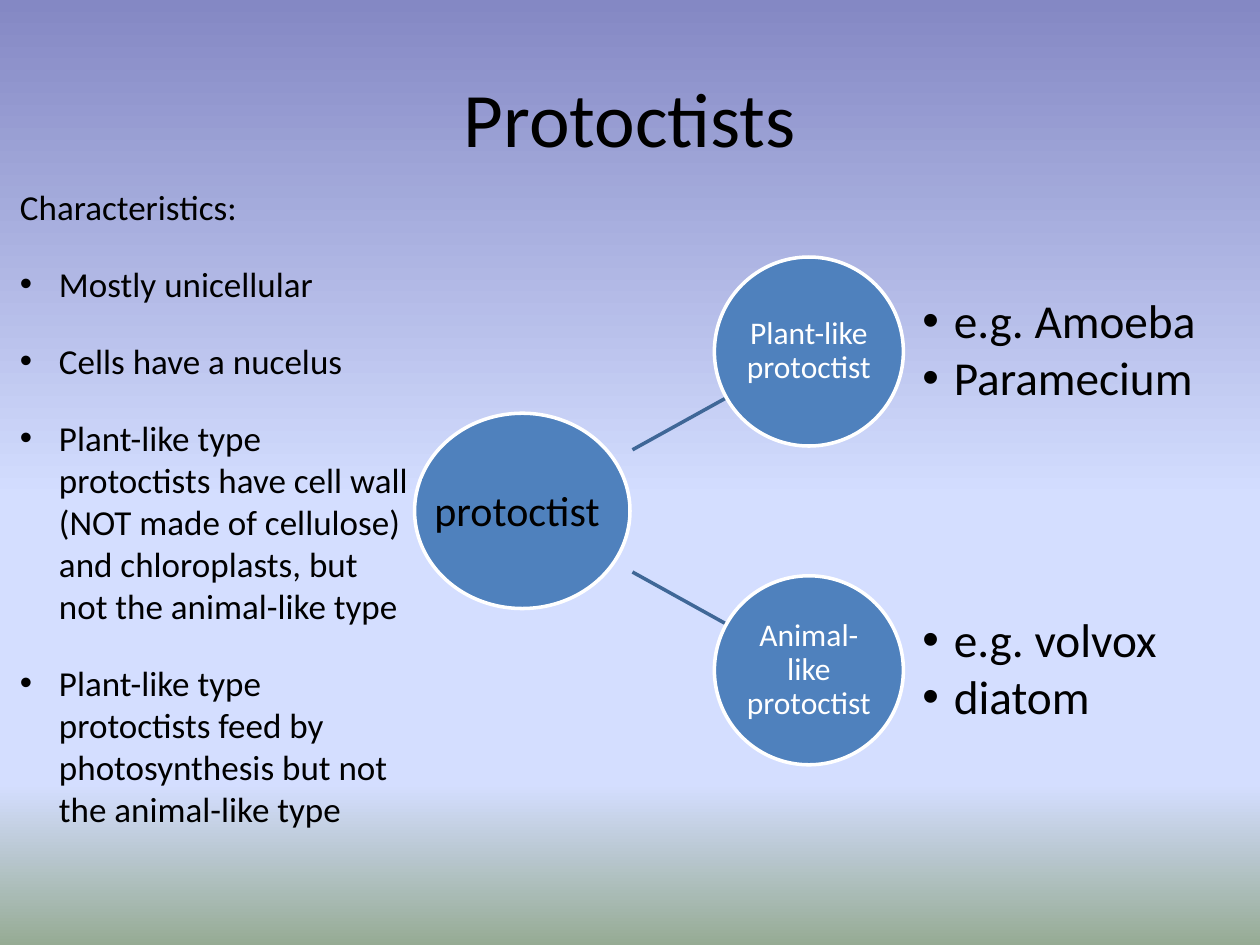
from dataclasses import dataclass

from lxml import etree
from pptx import Presentation, util as u
from pptx.dml.color import RGBColor
from pptx.enum import shapes, text
from pptx.oxml.ns import qn


@dataclass(frozen=True)
class Theme:
    font: str = "Calibri"
    ink: str = "000000"
    paper: str = "FFFFFF"
    accent: str = "4F81BD"
    branch: str = "3F6797"
    sky: tuple = ((0, "8488C4"), (53, "D4DEFF"), (83, "D4DEFF"), (100, "96AB94"))
    title: int = 44
    example: int = 27
    root: int = 24
    body: int = 20
    node: int = 18
    outline: int = 2


def add_bullet(paragraph, indent):
    """Give the paragraph a round bullet with a hanging indent in inches."""
    properties = paragraph._p.get_or_add_pPr()
    properties.set("marL", str(u.Inches(indent)))
    properties.set("indent", str(-u.Inches(indent)))
    etree.SubElement(properties, qn("a:buFont")).set("typeface", "Arial")
    etree.SubElement(properties, qn("a:buChar")).set("char", "•")


def write(shape, lines, *, font, size, color, align=text.PP_ALIGN.LEFT,
          anchor=text.MSO_ANCHOR.TOP, margins=(0.1, 0.05), wrap=True,
          spacing=None, gap=0, indent=0, first_bullet=0):
    """Fill a shape with paragraphs; gap is the space between them in points."""
    frame = shape.text_frame
    frame.word_wrap = wrap
    frame.vertical_anchor = anchor
    frame.margin_left = frame.margin_right = u.Inches(margins[0])
    frame.margin_top = frame.margin_bottom = u.Inches(margins[1])
    for index, line in enumerate(lines):
        paragraph = frame.add_paragraph() if index else frame.paragraphs[0]
        paragraph.alignment = align
        if spacing:
            paragraph.line_spacing = spacing
        if index and gap:
            paragraph.space_before = u.Pt(gap)
        if indent and index >= first_bullet:
            add_bullet(paragraph, indent)
        run = paragraph.add_run()
        run.text = line
        run.font.name = font
        run.font.size = u.Pt(size)
        run.font.color.rgb = RGBColor.from_string(color)


class SlideBuilder:
    """Places elements on a grid of 100 columns by 75 rows."""

    COLUMNS, ROWS = 100, 75

    def __init__(self, presentation, theme):
        self.theme = theme
        self.column = presentation.slide_width / self.COLUMNS
        self.row = presentation.slide_height / self.ROWS
        self.slide = presentation.slides.add_slide(presentation.slide_layouts[6])

    def place(self, *box):
        """Turn alternating columns and rows into lengths."""
        units = (self.column, self.row) * 2
        return [u.Emu(round(value * unit)) for value, unit in zip(box, units)]

    def background(self):
        fill = self.slide.background.fill
        fill.gradient()
        fill.gradient_angle = 270
        stops = self.slide.element.find(".//" + qn("a:gsLst"))
        for stop in list(stops):
            stops.remove(stop)
        for percent, color in self.theme.sky:
            stop = etree.SubElement(stops, qn("a:gs"), pos=str(percent * 1000))
            etree.SubElement(stop, qn("a:srgbClr"), val=color)

    def text_box(self, box, lines, size, **style):
        shape = self.slide.shapes.add_textbox(*self.place(*box))
        write(shape, lines, font=self.theme.font, size=size, color=self.theme.ink, **style)

    def filled(self, kind, box, outlined=True):
        shape = self.slide.shapes.add_shape(kind, *self.place(*box))
        shape.shadow.inherit = False
        shape.fill.solid()
        shape.fill.fore_color.rgb = RGBColor.from_string(self.theme.accent)
        if outlined:
            shape.line.color.rgb = RGBColor.from_string(self.theme.paper)
            shape.line.width = u.Pt(self.theme.outline)
        else:
            shape.line.fill.background()
        return shape

    def branch(self, *ends):
        line = self.slide.shapes.add_connector(shapes.MSO_CONNECTOR.STRAIGHT, *self.place(*ends))
        line.line.color.rgb = RGBColor.from_string(self.theme.branch)
        line.line.width = u.Pt(self.theme.outline)
        etree.SubElement(line._element.spPr, qn("a:effectLst"))

    def root(self, box, label_box, label):
        self.filled(shapes.MSO_SHAPE.OVAL, box)
        plate = self.filled(shapes.MSO_SHAPE.RECTANGLE, label_box, outlined=False)
        write(plate, [label], font=self.theme.font, size=self.theme.root,
              color=self.theme.ink, wrap=False)

    def group(self, top, label, examples):
        """Draw a circle of one kind of protoctist with its examples beside it."""
        circle = self.filled(shapes.MSO_SHAPE.OVAL, (56.7, top, 15, 15))
        write(circle, [label], font=self.theme.font, size=self.theme.node,
              color=self.theme.paper, align=text.PP_ALIGN.CENTER,
              anchor=text.MSO_ANCHOR.MIDDLE, margins=(0.01, 0.01), spacing=0.9)
        self.text_box((73.2, top, 22.4, 15), examples, self.theme.example,
                      anchor=text.MSO_ANCHOR.MIDDLE, margins=(0, 0),
                      spacing=0.9, gap=3.5, indent=0.25)


def main():
    presentation = Presentation()
    presentation.slide_width, presentation.slide_height = u.Inches(10), u.Inches(7.5)
    theme = Theme()
    builder = SlideBuilder(presentation, theme)
    builder.background()
    builder.text_box((5, 3, 90, 12.5), ["Protoctists"], theme.title,
                     align=text.PP_ALIGN.CENTER, anchor=text.MSO_ANCHOR.MIDDLE)

    builder.branch(50.2, 45.4, 57.6, 49.5)
    builder.branch(50.2, 35.7, 57.6, 31.6)
    builder.group(20.4, "Plant-like protoctist", ["e.g. Amoeba", "Paramecium"])
    builder.group(45.7, "Animal-like protoctist", ["e.g. volvox", "diatom"])
    builder.root((32.9, 32.8, 17.1, 15.5), (33.5, 38, 15.3, 5), "protoctist")

    builder.text_box((0.6, 14.2, 33.1, 52.6), [
        "Characteristics:",
        "Mostly unicellular",
        "Cells have a nucelus",
        "Plant-like type protoctists have cell wall (NOT made of cellulose) "
        "and chloroplasts, but not the animal-like type",
        "Plant-like type protoctists feed by photosynthesis "
        "but not the animal-like type",
    ], theme.body, gap=20, indent=0.31, first_bullet=1)
    presentation.save("out.pptx")


if __name__ == "__main__":
    main()
